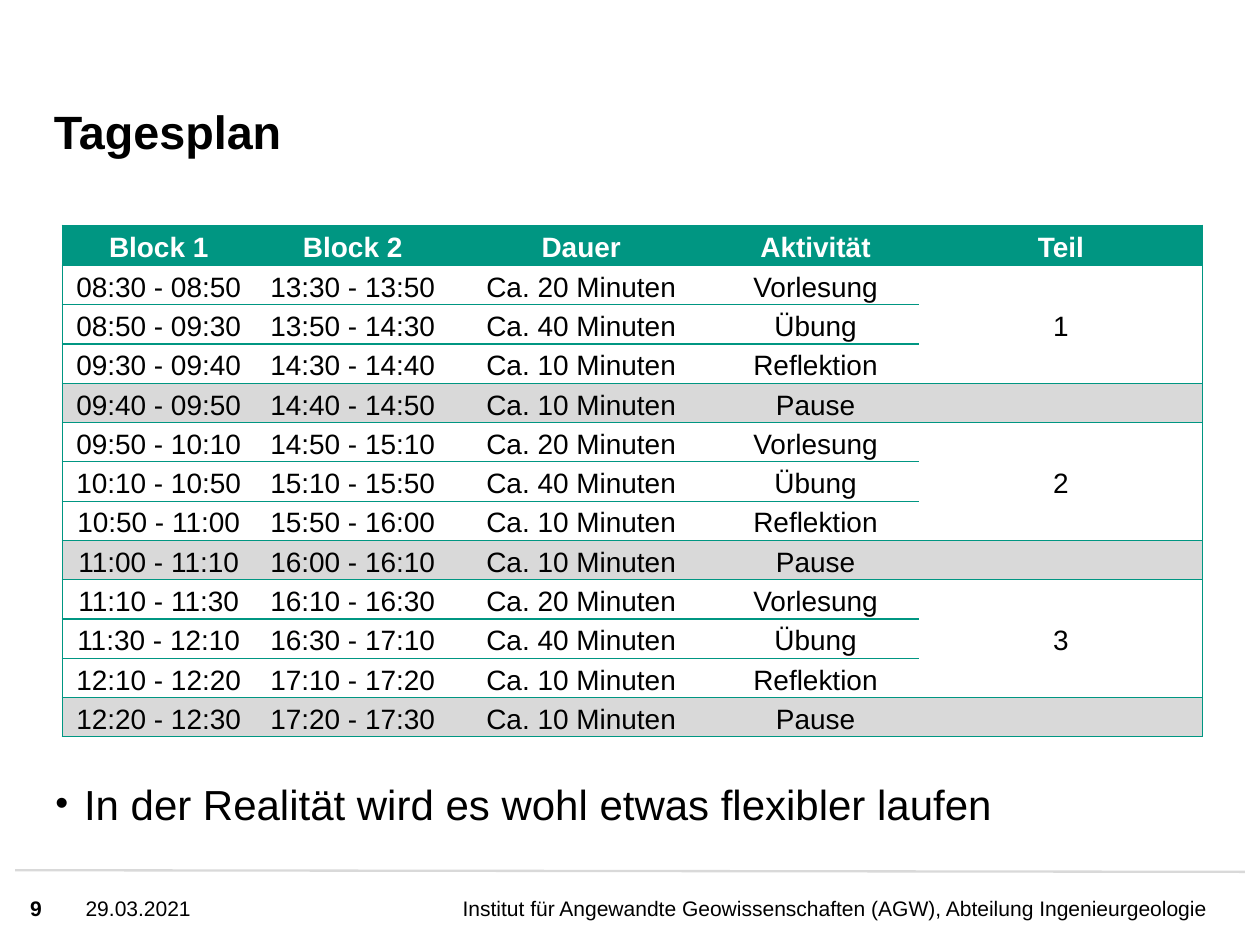
"""Build the day schedule slide with its timetable."""
from lxml import etree
from pptx import Presentation
from pptx.dml.color import RGBColor
from pptx.enum.shapes import MSO_CONNECTOR
from pptx.enum.text import MSO_ANCHOR, PP_ALIGN
from pptx.oxml.ns import qn
from pptx.util import Inches, Pt

TITLE = "Tagesplan"
HEADERS = ["Block 1", "Block 2", "Dauer", "Aktivität", "Teil"]
TIMES = [
    ("08:30 - 08:50", "13:30 - 13:50"),
    ("08:50 - 09:30", "13:50 - 14:30"),
    ("09:30 - 09:40", "14:30 - 14:40"),
    ("09:40 - 09:50", "14:40 - 14:50"),
    ("09:50 - 10:10", "14:50 - 15:10"),
    ("10:10 - 10:50", "15:10 - 15:50"),
    ("10:50 - 11:00", "15:50 - 16:00"),
    ("11:00 - 11:10", "16:00 - 16:10"),
    ("11:10 - 11:30", "16:10 - 16:30"),
    ("11:30 - 12:10", "16:30 - 17:10"),
    ("12:10 - 12:20", "17:10 - 17:20"),
    ("12:20 - 12:30", "17:20 - 17:30"),
]
ACTIVITIES = [
    ("Ca. 20 Minuten", "Vorlesung"),
    ("Ca. 40 Minuten", "Übung"),
    ("Ca. 10 Minuten", "Reflektion"),
    ("Ca. 10 Minuten", "Pause"),
]
REMARK = "In der Realität wird es wohl etwas flexibler laufen"
DATE = "29.03.2021"
PAGE_NUMBER = "9"
INSTITUTE = "Institut für Angewandte Geowissenschaften (AGW), Abteilung Ingenieurgeologie"

FONT = "Arial"
BLACK = RGBColor(0, 0, 0)
WHITE = RGBColor(255, 255, 255)
GREEN = RGBColor(0x00, 0x96, 0x82)
GRAY = RGBColor(0xD9, 0xD9, 0xD9)
LEFT, CENTER, RIGHT = PP_ALIGN.LEFT, PP_ALIGN.CENTER, PP_ALIGN.RIGHT
MIDDLE, TOP, BOTTOM = MSO_ANCHOR.MIDDLE, MSO_ANCHOR.TOP, MSO_ANCHOR.BOTTOM

PAGE_WIDTH = 7.5
PAGE_HEIGHT = PAGE_WIDTH * 3 / 4
TABLE_AREA = (0.37, 1.34, 6.79, 3.05)
HEADER_HEIGHT = 0.24
ROW_HEIGHT = (TABLE_AREA[3] - HEADER_HEIGHT) / len(TIMES)
COLUMN_WIDTHS = [1.15, 1.16, 1.56, 1.23, 1.69]
PART_COLUMN = len(HEADERS) - 1
PART_ROWS = len(ACTIVITIES)


def write(frame, text, size=12, color=BLACK, bold=False, align=LEFT, spacing=1.0, bullet=False):
    para = frame.paragraphs[0]
    if bullet:
        properties = para._p.get_or_add_pPr()
        properties.set("marL", str(Inches(0.17)))
        properties.set("indent", str(-Inches(0.17)))
        etree.SubElement(properties, qn("a:buSzPct"), val="88000")
        etree.SubElement(properties, qn("a:buFont"), typeface=FONT)
        etree.SubElement(properties, qn("a:buChar"), char="•")
    para.alignment = align
    para.line_spacing = spacing
    para.space_before = Pt(0)
    span = para.add_run()
    span.text = text
    span.font.name = FONT
    span.font.size = Pt(size)
    span.font.bold = bold
    span.font.color.rgb = color


def place(box, area, text, anchor=MIDDLE, **style):
    box.left, box.top, box.width, box.height = map(Inches, area)
    frame = box.text_frame
    frame.margin_left = frame.margin_right = frame.margin_top = frame.margin_bottom = 0
    frame.word_wrap = True
    frame.vertical_anchor = anchor
    write(frame, text, **style)


def add_text(page, area, text, **style):
    place(page.shapes.add_textbox(*map(Inches, area)), area, text, **style)


def set_borders(cell, sides):
    properties = cell._tc.get_or_add_tcPr()
    for index, side in enumerate("LRTB"):
        line = etree.Element(qn(f"a:ln{side}"), w=str(Pt(0.5)))
        if side in sides:
            fill = etree.SubElement(line, qn("a:solidFill"))
            etree.SubElement(fill, qn("a:srgbClr"), val=str(GREEN))
        else:
            etree.SubElement(line, qn("a:noFill"))
        properties.insert(index, line)


def cell_borders(row, column):
    sides = "TB"
    step = (row - 1) % PART_ROWS
    if column == PART_COLUMN and row > 0:
        sides = ["T", "", "B", "TB"][step]
    if column == 0:
        sides += "L"
    if column == PART_COLUMN:
        sides += "R"
    return sides


def add_schedule(page):
    rows = [HEADERS]
    for index, times in enumerate(TIMES):
        part, step = divmod(index, PART_ROWS)
        rows.append([*times, *ACTIVITIES[step], str(part + 1) if step == 0 else ""])
    table = page.shapes.add_table(len(rows), len(HEADERS), *map(Inches, TABLE_AREA)).table
    for column, width in zip(table.columns, COLUMN_WIDTHS):
        column.width = Inches(width)
    for row_index, row in enumerate(rows):
        header = row_index == 0
        pause = not header and row_index % PART_ROWS == 0
        table.rows[row_index].height = Inches(HEADER_HEIGHT if header else ROW_HEIGHT)
        for column_index, text in enumerate(row):
            cell = table.cell(row_index, column_index)
            cell.margin_left = cell.margin_right = Inches(0.05)
            cell.margin_top = cell.margin_bottom = 0
            cell.vertical_anchor = MIDDLE
            cell.fill.solid()
            cell.fill.fore_color.rgb = GREEN if header else GRAY if pause else WHITE
            set_borders(cell, cell_borders(row_index, column_index))
            if text:
                write(cell.text_frame, text, color=WHITE if header else BLACK,
                      bold=header, align=CENTER, spacing=1.15)
            else:
                cell.text_frame.paragraphs[0].font.size = Pt(12)
    for first in range(1, len(rows), PART_ROWS):
        last = first + PART_ROWS - 2
        table.cell(first, PART_COLUMN).merge(table.cell(last, PART_COLUMN))


def add_footer(page):
    ends = map(Inches, (0.09, 5.18, 7.41, 5.19))
    rule = page.shapes.add_connector(MSO_CONNECTOR.STRAIGHT, *ends)
    rule.line.color.rgb = GRAY
    rule.line.width = Pt(1)
    etree.SubElement(rule._element.spPr, qn("a:effectLst"))
    add_text(page, (0.18, 5.19, 0.27, 0.43), PAGE_NUMBER, size=9, bold=True)
    add_text(page, (0.51, 5.19, 0.84, 0.43), DATE, size=9)
    add_text(page, (2.55, 5.19, 4.63, 0.43), INSTITUTE, size=9, align=RIGHT)


def main():
    deck = Presentation()
    deck.slide_width, deck.slide_height = Inches(PAGE_WIDTH), Inches(PAGE_HEIGHT)
    page = deck.slides.add_slide(deck.slide_layouts[5])
    place(page.shapes.title, (0.32, 0.32, 5.64, 0.63), TITLE,
          anchor=BOTTOM, size=20, bold=True, spacing=0.9)
    add_schedule(page)
    add_text(page, (0.33, 4.69, 6.85, 0.27), REMARK,
             anchor=TOP, size=18, spacing=0.8, bullet=True)
    add_footer(page)
    deck.save("out.pptx")


if __name__ == "__main__":
    main()
